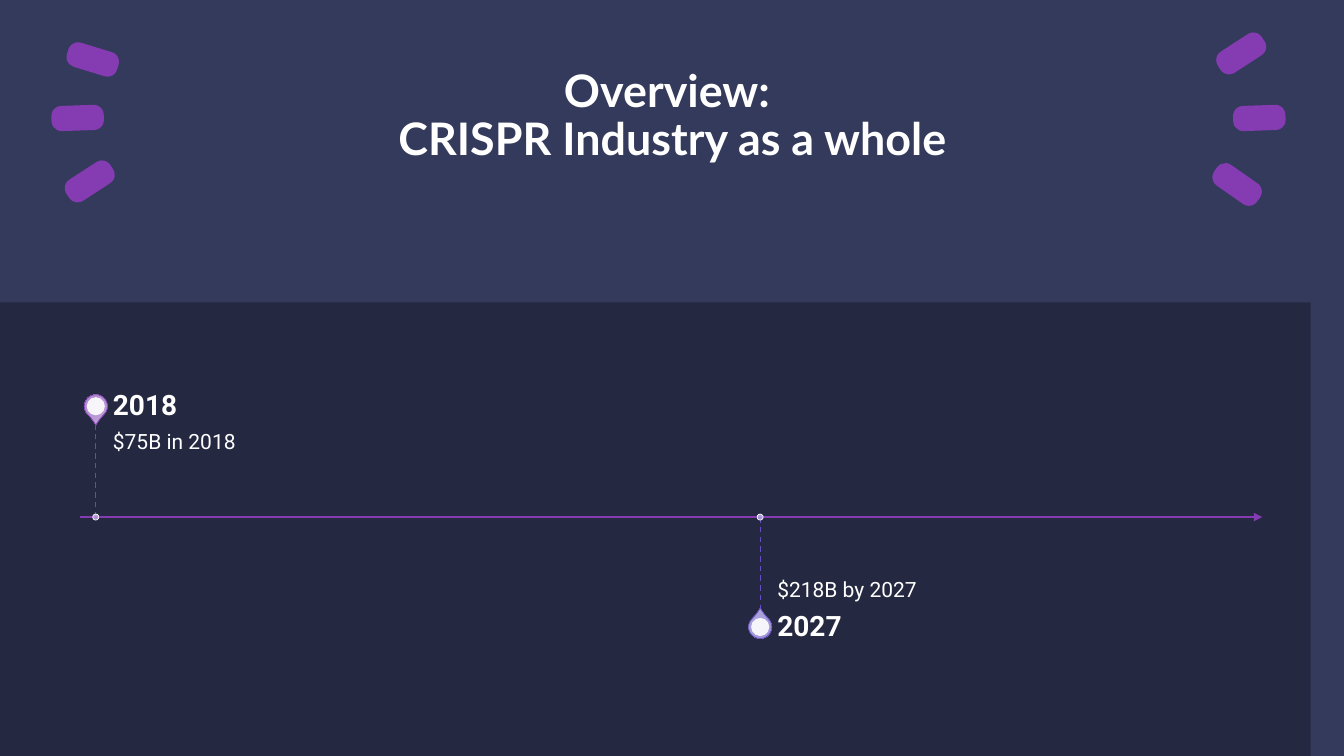
"""Build the CRISPR industry overview slide with a two-point timeline."""
from lxml import etree
from pptx import Presentation
from pptx.dml.color import RGBColor
from pptx.enum.dml import MSO_LINE
from pptx.enum.shapes import MSO_CONNECTOR, MSO_SHAPE
from pptx.enum.text import MSO_ANCHOR, PP_ALIGN
from pptx.oxml.ns import qn
from pptx.util import Inches, Pt

TEARDROP, OVAL, ROUNDED = MSO_SHAPE.TEAR, MSO_SHAPE.OVAL, MSO_SHAPE.ROUNDED_RECTANGLE
STRAIGHT, DASH = MSO_CONNECTOR.STRAIGHT, MSO_LINE.DASH
TOP, MIDDLE, BOTTOM = MSO_ANCHOR.TOP, MSO_ANCHOR.MIDDLE, MSO_ANCHOR.BOTTOM
LEFT, CENTER = PP_ALIGN.LEFT, PP_ALIGN.CENTER
HEX = {"header": "333A5B", "body": "242941", "purple": "853BB1", "indigo": "664DC3",
       "purple light": "BFA3DA", "purple deep": "AB83CE",
       "indigo light": "B3ABDF", "indigo deep": "988CD6", "white": "FFFFFF"}
COLORS = {name: RGBColor.from_string(value) for name, value in HEX.items()}

deck = Presentation()
deck.slide_width, deck.slide_height = Inches(13.33), Inches(7.5)
page = deck.slides.add_slide(deck.slide_layouts[6])
page.background.fill.solid()
page.background.fill.fore_color.rgb = COLORS["header"]


def add_centered(kind, x, y, width, height, color):
    """Add a solid borderless preset shape around a center point."""
    shape = page.shapes.add_shape(kind, Inches(x - width / 2), Inches(y - height / 2),
                                  Inches(width), Inches(height))
    shape.shadow.inherit = False
    shape.fill.solid()
    shape.fill.fore_color.rgb = COLORS[color]
    shape.line.fill.background()
    return shape


def add_text(lines, place, size, font, bold=False, align=LEFT, anchor=TOP, insets=(0, 0, 0, 0)):
    """Add a wrapped white text box with its lines split by breaks."""
    box = page.shapes.add_textbox(*map(Inches, place))
    frame = box.text_frame
    frame.word_wrap, frame.vertical_anchor = True, anchor
    (frame.margin_left, frame.margin_top,
     frame.margin_right, frame.margin_bottom) = map(Inches, insets)
    para = frame.paragraphs[0]
    para.alignment, para.line_spacing = align, 0.9
    for number, line in enumerate(lines):
        if number:
            para.add_line_break()
        span = para.add_run()
        span.text = line
        span.font.size, span.font.name, span.font.bold = Pt(size), font, bold
        span.font.color.rgb = COLORS["white"]


add_text(["Overview:\u00a0", "CRISPR Industry as a whole"], (1.84, 0.68, 9.66, 0.75),
         32, "Lato", bold=True, align=CENTER)

marks = [(0.92, 0.59, 17), (0.77, 1.17, -2), (0.89, 1.8, -33),
         (12.31, 0.53, -33), (12.49, 1.17, -2), (12.27, 1.83, 35)]
for x, y, turn in marks:
    mark = add_centered(ROUNDED, x, y, 0.52, 0.25, "purple")
    mark.rotation, mark.adjustments[0] = turn, 0.4

wave = [(2.13, 2.9), (3.53, 2.93), (5.57, 2.84), (6.4, 2.83), (9.87, 2.87),
        (11.53, 2.86), (12.6, 2.83), (13.32, 2.85)]
builder = page.shapes.build_freeform(0, 2.91, scale=Inches(1))
builder.add_line_segments(wave + [(13.32, 7.5), (0, 7.5)], close=True)
ground = builder.convert_to_shape()
ground.shadow.inherit = False
ground.fill.solid()
ground.fill.fore_color.rgb = COLORS["body"]
ground.line.fill.background()

axis_y = 5.13
pins = [
    {"x": 0.95, "y": 4.03, "stem": 4.2, "turn": 135, "color": "purple", "year": "2018",
     "year top": 3.87, "value": "$75B in 2018", "value top": 4.2, "anchor": TOP,
     "insets": (0, 0.1, 0, 0.16)},
    {"x": 7.54, "y": 6.22, "stem": 6.06, "turn": 315, "color": "indigo", "year": "2027",
     "year top": 6.06, "value": "$218B by 2027", "value top": 5.13, "anchor": BOTTOM,
     "insets": (0, 0.16, 0.1, 0.1)},
]

lines = [(0.79, axis_y, 12.52, axis_y, "purple", 1.5)]
lines += [(pin["x"], axis_y, pin["x"], pin["stem"], pin["color"], 1) for pin in pins]
for x1, y1, x2, y2, color, width in lines:
    connector = page.shapes.add_connector(STRAIGHT, *map(Inches, (x1, y1, x2, y2)))
    connector.line.color.rgb, connector.line.width = COLORS[color], Pt(width)
    if y1 == y2:
        etree.SubElement(connector.line._get_or_add_ln(), qn("a:tailEnd"), type="triangle")
    else:
        connector.line.dash_style = DASH
    etree.SubElement(connector._element.spPr, qn("a:effectLst"))

for pin in pins:
    x, y, color = pin["x"], pin["y"], pin["color"]
    drop = add_centered(TEARDROP, x, y, 0.23, 0.23, color)
    drop.rotation, drop.adjustments[0] = pin["turn"], 1.15
    dot = add_centered(OVAL, x, axis_y, 0.06, 0.06, color)
    for marker, edge in ((drop, color), (dot, "white")):
        marker.fill.gradient()
        marker.fill.gradient_angle = 270
        for stop, shade in zip(marker.fill.gradient_stops, ("light", "deep")):
            stop.color.rgb = COLORS[f"{color} {shade}"]
        marker.line.color.rgb, marker.line.width = COLORS[edge], Pt(0.5)
    center = add_centered(OVAL, x, y, 0.18, 0.18, "white")
    tint = center._element.spPr.find(qn("a:solidFill"))[0]
    etree.SubElement(tint, qn("a:alpha"), val="90000")
    text_x = x + 0.17
    add_text([pin["value"]], (text_x, pin["value top"], 4.27, 0.93), 15, "Roboto",
             anchor=pin["anchor"], insets=pin["insets"])
    add_text([pin["year"]], (text_x, pin["year top"], 4.27, 0.33), 20, "Roboto",
             bold=True, anchor=MIDDLE, insets=(0, 0, 0.14, 0))

deck.save("out.pptx")
